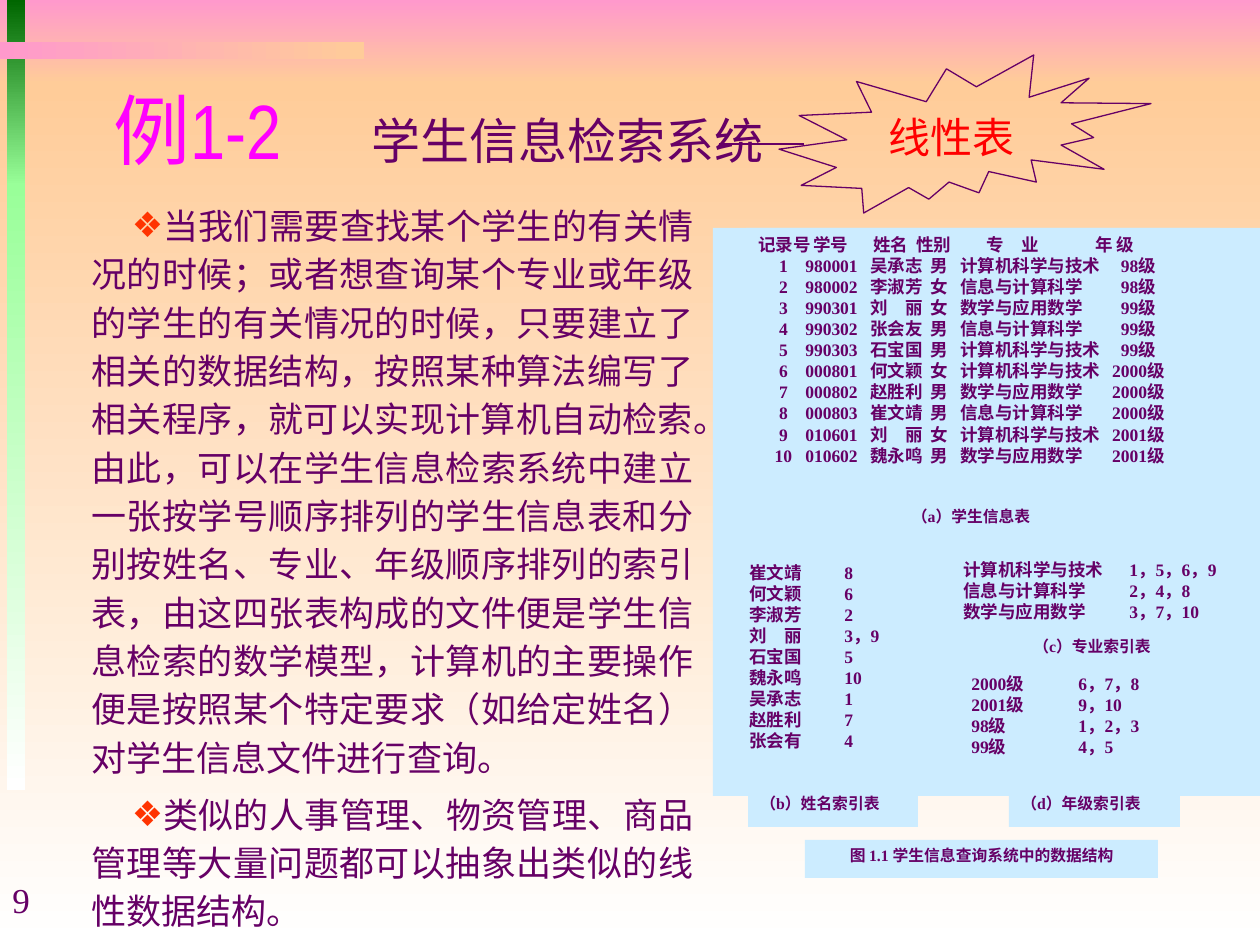
from dataclasses import dataclass

from lxml import etree
from pptx import Presentation
from pptx import util as u
from pptx.dml.color import RGBColor
from pptx.enum import shapes, text
from pptx.oxml import ns

LEFT, CENTER, JUSTIFY = text.PP_ALIGN.LEFT, text.PP_ALIGN.CENTER, text.PP_ALIGN.JUSTIFY
TOP, MIDDLE = text.MSO_ANCHOR.TOP, text.MSO_ANCHOR.MIDDLE
RECTANGLE = shapes.MSO_SHAPE.RECTANGLE


@dataclass(frozen=True)
class Theme:
    purple: str = "660066"
    magenta: str = "FF00FF"
    red: str = "FF0000"
    bullet: str = "FF3300"
    panel: str = "CCECFF"
    pink: str = "FF99CC"
    peach: str = "FFCC99"
    green: str = "006600"
    light_green: str = "99FF99"
    white: str = "FFFFFF"
    serif: str = "Times New Roman"
    sans: str = "Arial"
    narrow: str = "Arial Narrow"
    title: int = 44
    subtitle: int = 28
    callout: int = 24
    body: int = 20
    record: int = 10
    caption: int = 9


def px(length):
    return u.Emu(round(length * 914400 / 126))


def apply(target, values):
    for name, value in values.items():
        setattr(target, name, value)


class SlideBuilder:
    def __init__(self, slide, theme):
        self.slide = slide
        self.theme = theme

    def style(self, font, name, size, color, bold=False):
        apply(font, {"name": name, "size": u.Pt(size), "bold": bold})
        font.color.rgb = RGBColor.from_string(color)

    def frame(self, shape, anchor=TOP, wrap=True):
        frame = shape.text_frame
        apply(frame, {
            "margin_left": u.Inches(0.1), "margin_right": u.Inches(0.1),
            "margin_top": u.Inches(0.05), "margin_bottom": u.Inches(0.05),
            "auto_size": text.MSO_AUTO_SIZE.NONE,
            "vertical_anchor": anchor, "word_wrap": wrap,
        })
        return frame

    def tabs(self, paragraph, stops):
        tab_list = etree.SubElement(paragraph._p.get_or_add_pPr(), ns.qn("a:tabLst"))
        for position, alignment in stops:
            etree.SubElement(tab_list, ns.qn("a:tab"), pos=str(px(position)), algn=alignment)

    def bullet(self, paragraph, character):
        properties = paragraph._p.get_or_add_pPr()
        properties.set("marL", str(u.Inches(0.42)))
        properties.set("indent", str(u.Inches(0.32)))
        color = etree.SubElement(properties, ns.qn("a:buClr"))
        etree.SubElement(color, ns.qn("a:srgbClr"), val=self.theme.bullet)
        etree.SubElement(properties, ns.qn("a:buFont"), typeface=self.theme.sans)
        etree.SubElement(properties, ns.qn("a:buChar"), char=character)

    def paragraphs(self, frame, lines, font, align=LEFT, stops=lambda index: ()):
        for index, line in enumerate(lines):
            paragraph = frame.paragraphs[0] if index == 0 else frame.add_paragraph()
            paragraph.alignment = align
            if stops(index):
                self.tabs(paragraph, stops(index))
            run = paragraph.add_run()
            run.text = line
            self.style(run.font, *font)

    def shape(self, box, kind=RECTANGLE):
        shape = self.slide.shapes.add_shape(kind, *map(px, box))
        shape.shadow.inherit = False
        shape.line.fill.background()
        return shape

    def gradient(self, box, start, end, angle=270):
        fill = self.shape(box).fill
        fill.gradient()
        fill.gradient_angle = angle
        for stop, color in zip(fill.gradient_stops, (start, end)):
            stop.color.rgb = RGBColor.from_string(color)

    def panel(self, box, lines=(), size=None, align=LEFT, stops=lambda index: ()):
        shape = self.shape(box)
        shape.fill.solid()
        shape.fill.fore_color.rgb = RGBColor.from_string(self.theme.panel)
        font = (self.theme.serif, size, self.theme.purple, True)
        self.paragraphs(self.frame(shape), lines, font, align, stops)

    def caption(self, box, line, align=JUSTIFY):
        self.panel(box, [line], self.theme.caption, align)

    def index(self, box, lines, stop):
        self.panel(box, lines, self.theme.record, stops=lambda index: [(stop, "l")])

    def placeholder(self, number, box):
        shape = self.slide.placeholders[number]
        apply(shape, dict(zip(("left", "top", "width", "height"), map(px, box))))
        shape.element.getparent().append(shape.element)
        return shape

    def title(self, box, number, subject):
        theme = self.theme
        paragraph = self.frame(self.placeholder(0, box), MIDDLE).paragraphs[0]
        paragraph.alignment = LEFT
        self.tabs(paragraph, [(258, "l")])
        for words, size, color in ((number + "\t", theme.title, theme.magenta),
                                   (subject, theme.subtitle, theme.purple)):
            run = paragraph.add_run()
            run.text = words
            self.style(run.font, theme.narrow, size, color)

    def body(self, box, lines):
        frame = self.frame(self.placeholder(1, box))
        font = (self.theme.sans, self.theme.body, self.theme.purple)
        self.paragraphs(frame, lines, font, JUSTIFY)
        for index, paragraph in enumerate(frame.paragraphs):
            self.bullet(paragraph, "❖")
            apply(paragraph, {"level": 1, "line_spacing": 1.15,
                              "space_before": u.Pt(5 if index else 0)})

    def page_number(self, box, number):
        shape = self.slide.shapes.add_textbox(*map(px, box))
        font = (self.theme.serif, self.theme.body, self.theme.purple)
        self.paragraphs(self.frame(shape), [number], font)

    def outline(self, line):
        line.color.rgb = RGBColor.from_string(self.theme.purple)
        line.width = u.Pt(0.75)

    def callout(self, box, words):
        shape = self.shape(box, shapes.MSO_SHAPE.EXPLOSION2)
        shape.fill.background()
        self.outline(shape.line)
        font = (self.theme.serif, self.theme.callout, self.theme.red)
        self.paragraphs(self.frame(shape, MIDDLE, False), [words], font, CENTER)

    def connector(self, *ends):
        line = self.slide.shapes.add_connector(shapes.MSO_CONNECTOR.STRAIGHT, *map(px, ends))
        self.outline(line.line)
        etree.SubElement(line._element.spPr, ns.qn("a:effectLst"))


HEADER_STOPS = [(55, "l"), (115, "l"), (158, "l"), (228, "l"), (337, "l")]
RECORD_STOPS = [(25, "ctr"), (47, "l"), (112, "l"), (172, "l"), (202, "l"), (380, "ctr")]
COMPUTING, INFORMATION, MATHEMATICS = "计算机科学与技术", "信息与计算科学", "数学与应用数学"
STUDENTS = [
    ("980001", "吴承志", "男", COMPUTING, "98级"),
    ("980002", "李淑芳", "女", INFORMATION, "98级"),
    ("990301", "刘　丽", "女", MATHEMATICS, "99级"),
    ("990302", "张会友", "男", INFORMATION, "99级"),
    ("990303", "石宝国", "男", COMPUTING, "99级"),
    ("000801", "何文颖", "女", COMPUTING, "2000级"),
    ("000802", "赵胜利", "男", MATHEMATICS, "2000级"),
    ("000803", "崔文靖", "男", INFORMATION, "2000级"),
    ("010601", "刘　丽", "女", COMPUTING, "2001级"),
    ("010602", "魏永鸣", "男", MATHEMATICS, "2001级"),
]
NAMES = ["崔文靖\t8", "何文颖\t6", "李淑芳\t2", "刘　丽\t3，9", "石宝国\t5",
         "魏永鸣\t10", "吴承志\t1", "赵胜利\t7", "张会有\t4"]
MAJORS = [COMPUTING + "\t1，5，6，9", INFORMATION + "\t2，4，8", MATHEMATICS + "\t3，7，10"]
GRADES = ["2000级\t6，7，8", "2001级\t9，10", "98级\t1，2，3", "99级\t4，5"]
BODY = [
    "当我们需要查找某个学生的有关情况的时候；或者想查询某个专业或年级的学生的有关情况的时候，只要建立了相关的数据结构，按照某种算法编写了相关程序，就可以实现计算机自动检索。由此，可以在学生信息检索系统中建立一张按学号顺序排列的学生信息表和分别按姓名、专业、年级顺序排列的索引表，由这四张表构成的文件便是学生信息检索的数学模型，计算机的主要操作便是按照某个特定要求（如给定姓名）对学生信息文件进行查询。",
    "类似的人事管理、物资管理、商品管理等大量问题都可以抽象出类似的线性数据结构。",
]


def main():
    presentation = Presentation()
    apply(presentation, {"slide_width": px(1260), "slide_height": px(945)})
    theme = Theme()
    slide = presentation.slides.add_slide(presentation.slide_layouts[1])
    builder = SlideBuilder(slide, theme)

    builder.gradient((0, 0, 1260, 84), theme.pink, theme.peach)
    builder.gradient((0, 84, 1260, 861), theme.peach, theme.white)
    builder.gradient((7, 0, 18, 186), theme.green, theme.light_green)
    builder.gradient((7, 184, 18, 606), theme.light_green, theme.white)
    builder.gradient((0, 42, 364, 17), theme.pink, theme.peach, 0)
    builder.page_number((0, 872, 88, 55), "9")
    builder.title((101, 72, 1071, 113), "例1-2", "学生信息检索系统")
    builder.body((26, 192, 680, 753), BODY)

    builder.panel((713, 228, 547, 568))
    builder.caption((748, 788, 170, 39), "（b）姓名索引表")
    builder.index((737, 556, 181, 217), NAMES, 95)
    builder.index((959, 667, 285, 105), GRADES, 107)
    builder.index((951, 553, 308, 91), MAJORS, 166)
    records = ["\t" + "\t".join((str(number), *student))
               for number, student in enumerate(STUDENTS, 1)]
    builder.panel((746, 228, 474, 273),
                  ["记录号\t学号\t姓名\t性别\t专　业\t年 级", *records], theme.record,
                  stops=lambda index: RECORD_STOPS if index else HEADER_STOPS)
    builder.caption((888, 501, 166, 39), "（a）学生信息表", CENTER)
    builder.caption((1021, 631, 170, 39), "（c）专业索引表")
    builder.caption((1009, 788, 171, 39), "（d）年级索引表")
    builder.caption((805, 840, 353, 38), "图 1.1 学生信息查询系统中的数据结构", CENTER)

    builder.callout((779, 55, 372, 158), "线性表")
    builder.connector(719, 144, 804, 144)
    presentation.save("out.pptx")


if __name__ == "__main__":
    main()
